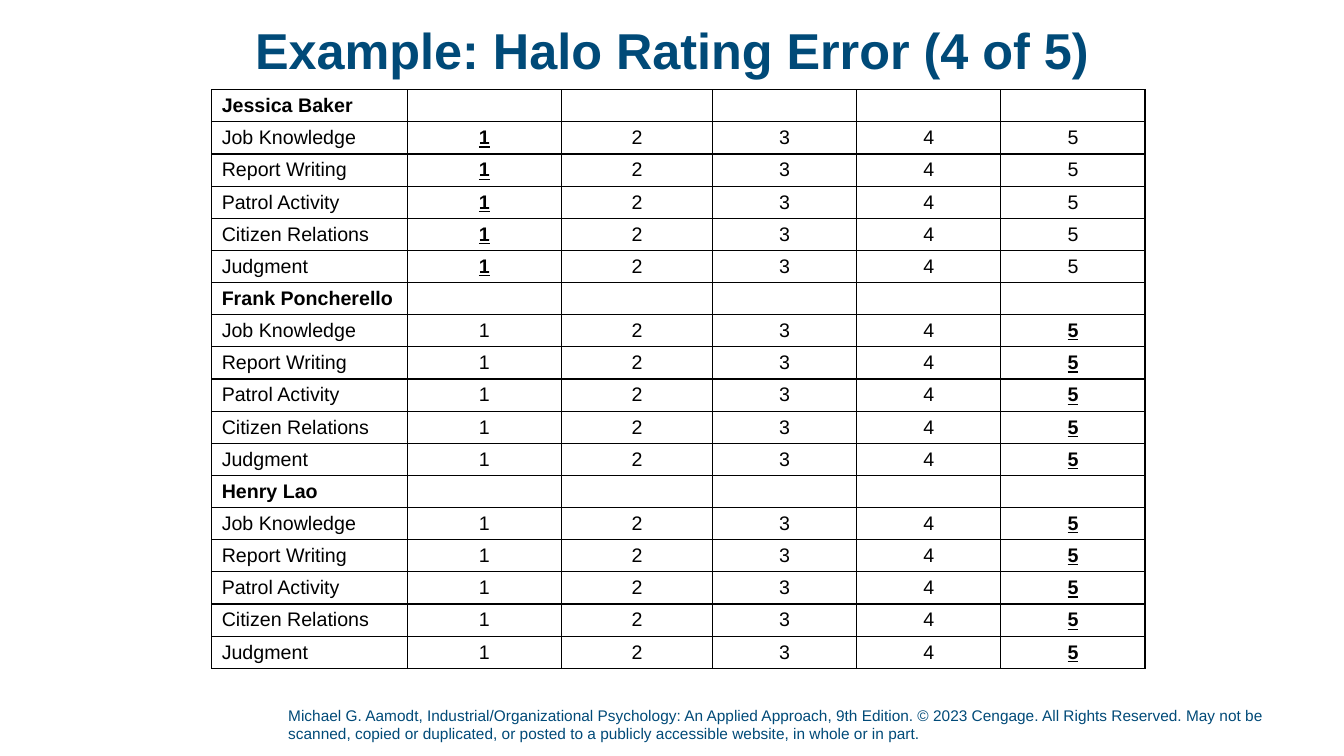
"""Build the slide of halo rating errors as a table of three officers."""
import dataclasses
import typing

import lxml.etree
import pptx
import pptx.dml.color
import pptx.enum.text
import pptx.oxml.ns
import pptx.slide
import pptx.table
import pptx.text.text
import pptx.util

Pt = pptx.util.Pt
Align = pptx.enum.text.PP_ALIGN
Anchor = pptx.enum.text.MSO_ANCHOR
Fit = pptx.enum.text.MSO_AUTO_SIZE


@dataclasses.dataclass(frozen=True)
class Theme:
    face: str = "Arial"
    navy: str = "004A78"
    black: str = "000000"
    title: float = 36
    body: float = 14
    note: float = 11


@dataclasses.dataclass(frozen=True)
class Box:
    left: float
    top: float
    width: float
    height: float


@dataclasses.dataclass(frozen=True)
class Person:
    name: str
    mark: int


THEME = Theme()
SIZE = (960, 540)
TITLE = Box(66.24, 18, 828, 39.6)
NOTE = Box(205.92, 504, 744.48, 30.24)
GRID = Box(151.2, 64.08, 666, 413.64)
WIDTHS = (139.68, 110.16, 108, 102.96, 102.96, 102.96)
SKILLS = ("Job Knowledge", "Report Writing", "Patrol Activity",
          "Citizen Relations", "Judgment")
PEOPLE = (Person("Jessica Baker", 1), Person("Frank Poncherello", 5),
          Person("Henry Lao", 5))
SCORES = range(1, 6)
NOTE_TEXT = (
    "Michael G. Aamodt, Industrial/Organizational Psychology: An Applied "
    "Approach, 9th Edition. © 2023 Cengage. All Rights Reserved. May not be "
    "scanned, copied or duplicated, or posted to a publicly accessible "
    "website, in whole or in part.")


def apply(target: typing.Any, values: dict[str, typing.Any]) -> None:
    for name, value in values.items():
        setattr(target, name, value)


def place(box: Box) -> dict[str, int]:
    return {name: Pt(value) for name, value in dataclasses.asdict(box).items()}


def write(para: pptx.text.text._Paragraph, text: str, size: float, tint: str,
          **style: bool) -> None:
    run = para.add_run()
    run.text = text
    apply(run.font, {"name": THEME.face, "size": Pt(size), **style})
    run.font.color.rgb = pptx.dml.color.RGBColor.from_string(tint)


def frame_cell(cell: pptx.table._Cell) -> None:
    qn = pptx.oxml.ns.qn
    props = cell._tc.get_or_add_tcPr()
    for side in ("lnL", "lnR", "lnT", "lnB"):
        line = lxml.etree.SubElement(props, qn(f"a:{side}"), w=str(Pt(1)))
        fill = lxml.etree.SubElement(line, qn("a:solidFill"))
        lxml.etree.SubElement(fill, qn("a:srgbClr"), val=THEME.black)
    cell.fill.background()
    apply(cell, {"margin_top": 0, "margin_bottom": 0,
                 "vertical_anchor": Anchor.MIDDLE})


def add_title(slide: pptx.slide.Slide) -> None:
    title = slide.shapes.title
    apply(title, place(TITLE))
    apply(title.text_frame, {
        "margin_left": 0, "margin_right": 0, "margin_top": 0,
        "margin_bottom": 0, "vertical_anchor": Anchor.MIDDLE,
        "word_wrap": True, "auto_size": Fit.NONE})
    para = title.text_frame.paragraphs[0]
    apply(para, {"alignment": Align.CENTER, "line_spacing": 0.9})
    write(para, "Example: Halo Rating Error (4 of 5)", THEME.title,
          THEME.navy, bold=True)


def add_note(slide: pptx.slide.Slide) -> None:
    frame = slide.shapes.add_textbox(**place(NOTE)).text_frame
    apply(frame, {
        "margin_left": 0, "margin_right": 0, "margin_top": 0,
        "margin_bottom": Pt(3.6), "vertical_anchor": Anchor.BOTTOM,
        "word_wrap": True, "auto_size": Fit.SHAPE_TO_FIT_TEXT})
    write(frame.paragraphs[0], NOTE_TEXT, THEME.note, THEME.navy)


def add_grid(slide: pptx.slide.Slide) -> None:
    block = len(SKILLS) + 1
    count = block * len(PEOPLE)
    table = slide.shapes.add_table(count, len(WIDTHS), **place(GRID)).table
    apply(table, {"first_row": False, "horz_banding": False})
    for column, width in zip(table.columns, WIDTHS):
        column.width = Pt(width)
    for row in table.rows:
        row.height = Pt(GRID.height / count)
    for cell in table.iter_cells():
        frame_cell(cell)
    for group, person in enumerate(PEOPLE):
        for step, label in enumerate((person.name, *SKILLS)):
            row = group * block + step
            head = step == 0
            write(table.cell(row, 0).text_frame.paragraphs[0], label,
                  THEME.body, THEME.black, bold=head)
            for score in () if head else SCORES:
                para = table.cell(row, score).text_frame.paragraphs[0]
                para.alignment = Align.CENTER
                chosen = score == person.mark
                write(para, str(score), THEME.body, THEME.black,
                      bold=chosen, underline=chosen)


def main() -> None:
    deck = pptx.Presentation()
    deck.slide_width, deck.slide_height = map(Pt, SIZE)
    slide = deck.slides.add_slide(deck.slide_layouts[5])
    add_note(slide)
    add_title(slide)
    add_grid(slide)
    deck.save("out.pptx")


if __name__ == "__main__":
    main()
